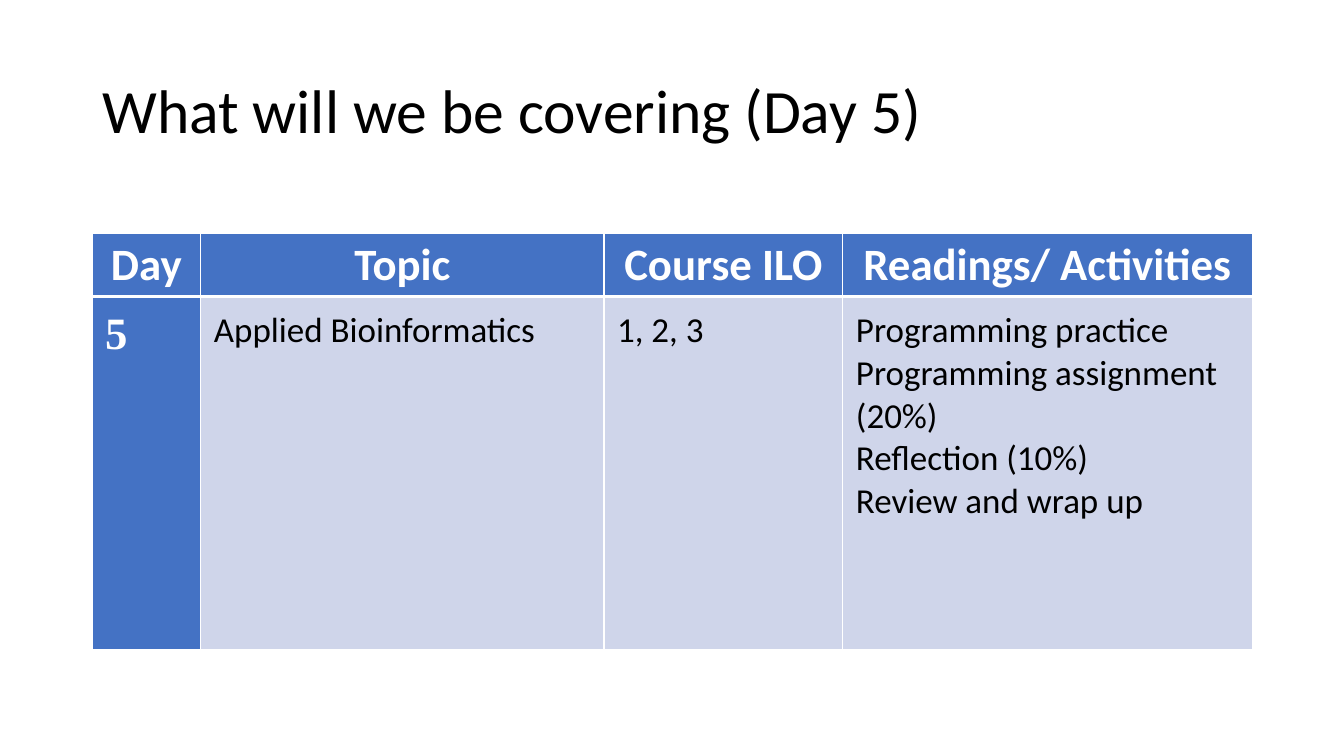
"""Build the Day 5 course outline slide."""
from dataclasses import dataclass

from lxml import etree
from pptx import Presentation
from pptx.dml.color import RGBColor
from pptx.enum import text
from pptx.oxml import ns
from pptx.util import Pt

BLUE, PALE, WHITE, BLACK = "4472C4", "CFD5EA", "FFFFFF", "000000"
COLUMN_WIDTHS = (77.76, 288, 170.64, 292.32)
ROW_HEIGHTS = (45.36, 252)
THIN, THICK = 1, 3


@dataclass(frozen=True)
class CellStyle:
    fill: str
    color: str
    size: float
    bold: bool
    margin: float
    top: float
    bottom: float
    font: str = "Calibri"
    align: text.PP_ALIGN = text.PP_ALIGN.LEFT
    anchor: text.MSO_ANCHOR = text.MSO_ANCHOR.TOP


HEADING = CellStyle(BLUE, WHITE, 32, True, 2.16, THIN, THICK,
                    align=text.PP_ALIGN.CENTER, anchor=text.MSO_ANCHOR.MIDDLE)
DAY = CellStyle(BLUE, WHITE, 32, True, 9.36, THICK, THIN, font="Times New Roman")
DETAIL = CellStyle(PALE, BLACK, 25, False, 9.36, THICK, THIN)

OUTLINE = (
    (("Day", HEADING), ("Topic", HEADING), ("Course ILO", HEADING),
     ("Readings/ Activities", HEADING)),
    (("5", DAY), ("Applied Bioinformatics", DETAIL), ("1, 2, 3", DETAIL),
     ("Programming practice\nProgramming assignment (20%)\n"
      "Reflection (10%)\nReview and wrap up", DETAIL)),
)


def rgb(value: str) -> RGBColor:
    return RGBColor.from_string(value)


def format_runs(frame, font: str, size: float, color: str, bold: bool) -> None:
    for paragraph in frame.paragraphs:
        for run in paragraph.runs:
            run.font.name = font
            run.font.size = Pt(size)
            run.font.bold = bold
            run.font.color.rgb = rgb(color)


def add_borders(cell, style: CellStyle) -> None:
    properties = cell._tc.get_or_add_tcPr()
    edges = (("L", THIN), ("R", THIN), ("T", style.top), ("B", style.bottom))
    for side, width in edges:
        line = etree.SubElement(properties, ns.qn(f"a:ln{side}"), w=str(Pt(width)))
        solid = etree.SubElement(line, ns.qn("a:solidFill"))
        etree.SubElement(solid, ns.qn("a:srgbClr"), val=WHITE)


def fill_cell(cell, wording: str, style: CellStyle) -> None:
    add_borders(cell, style)
    cell.fill.solid()
    cell.fill.fore_color.rgb = rgb(style.fill)
    cell.margin_left = cell.margin_right = Pt(style.margin)
    cell.margin_top = cell.margin_bottom = Pt(style.margin)
    cell.vertical_anchor = style.anchor
    cell.text_frame.text = wording
    for paragraph in cell.text_frame.paragraphs:
        paragraph.alignment = style.align
    format_runs(cell.text_frame, style.font, style.size, style.color, style.bold)


def add_title(slide) -> None:
    heading = slide.shapes.add_textbox(Pt(66), Pt(28.75), Pt(828), Pt(104.4)).text_frame
    heading.word_wrap = True
    heading.vertical_anchor = text.MSO_ANCHOR.MIDDLE
    heading.text = "What will we be covering (Day 5)"
    heading.paragraphs[0].line_spacing = 0.9
    format_runs(heading, "Calibri", 44, BLACK, False)


def add_outline(slide) -> None:
    outline = slide.shapes.add_table(
        len(ROW_HEIGHTS), len(COLUMN_WIDTHS), Pt(65.7), Pt(166.5),
        Pt(sum(COLUMN_WIDTHS)), Pt(sum(ROW_HEIGHTS))).table
    for column, width in zip(outline.columns, COLUMN_WIDTHS):
        column.width = Pt(width)
    for row, height, entries in zip(outline.rows, ROW_HEIGHTS, OUTLINE):
        row.height = Pt(height)
        for cell, (wording, style) in zip(row.cells, entries):
            fill_cell(cell, wording, style)


def main() -> None:
    deck = Presentation()
    deck.slide_width, deck.slide_height = Pt(960), Pt(540)
    slide = deck.slides.add_slide(deck.slide_layouts[6])
    add_title(slide)
    add_outline(slide)
    deck.save("out.pptx")


if __name__ == "__main__":
    main()
